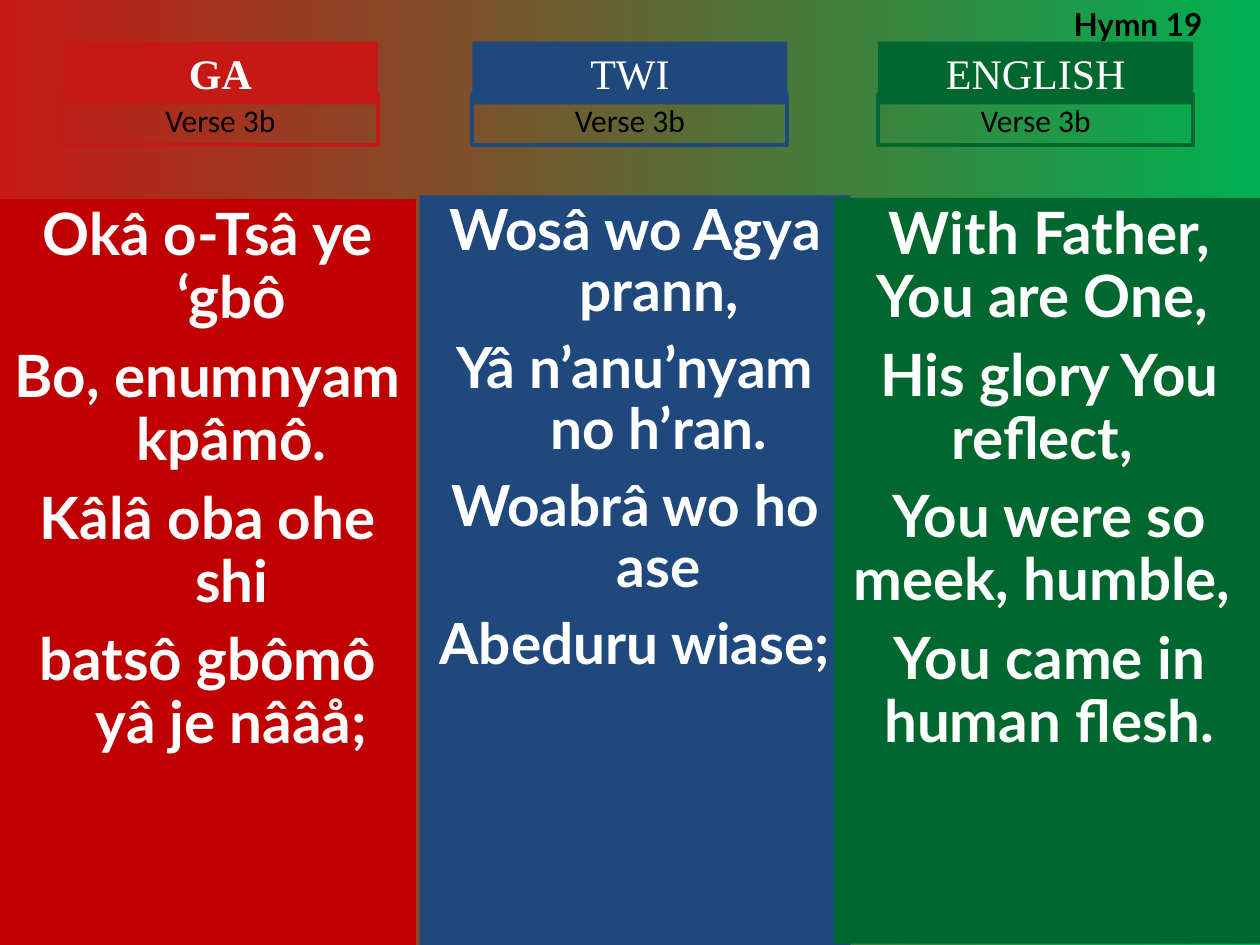
from pptx import Presentation
from pptx.dml.color import RGBColor
from pptx.enum.shapes import MSO_SHAPE
from pptx.enum.text import MSO_ANCHOR, MSO_AUTO_SIZE, PP_ALIGN
from pptx.oxml.xmlchemy import OxmlElement
from pptx.util import Inches, Pt

RED = RGBColor(0xC5, 0x19, 0x15)
DARK_RED = RGBColor(0xC0, 0x00, 0x00)
BLUE = RGBColor(0x1F, 0x49, 0x7D)
GREEN = RGBColor(0x00, 0x68, 0x2F)
BRIGHT_GREEN = RGBColor(0x00, 0xB0, 0x50)
WHITE = RGBColor(0xFF, 0xFF, 0xFF)
BLACK = RGBColor(0x00, 0x00, 0x00)


def place(box, left, top, width, height):
    box.left, box.top = Inches(left), Inches(top)
    box.width, box.height = Inches(width), Inches(height)


def write(box, lines, font, size, color, bold=False, align=PP_ALIGN.CENTER,
          spacing=1.0, before=0, hanging=0):
    frame = box.text_frame
    frame.word_wrap = True
    frame.auto_size = MSO_AUTO_SIZE.NONE
    frame.vertical_anchor = MSO_ANCHOR.TOP
    for index, line in enumerate(lines):
        para = frame.add_paragraph() if index else frame.paragraphs[0]
        properties = para._p.get_or_add_pPr()
        properties.set("marL", str(Inches(hanging)))
        properties.set("indent", str(-Inches(hanging)))
        properties.append(OxmlElement("a:buNone"))
        para.alignment = align
        para.line_spacing = spacing
        para.space_before = Pt(before if index else 0)
        span = para.add_run()
        span.text = line
        span.font.name = font
        span.font.size = Pt(size)
        span.font.bold = bold
        span.font.color.rgb = color


deck = Presentation()
deck.slide_width, deck.slide_height = Inches(10), Inches(7.5)
page = deck.slides.add_slide(deck.slide_layouts.get_by_name("Two Content"))

# Background gradient
backdrop = page.background.fill
backdrop.gradient()
backdrop.gradient_angle = 0
for stop, color in zip(backdrop.gradient_stops, (RED, BRIGHT_GREEN)):
    stop.color.rgb = color

# Hymn number
title = page.shapes.title
place(title, 8.42, -0.01, 1.5, 0.4)
write(title, ["Hymn 19"], "Lato", 18, BLACK, bold=True, align=PP_ALIGN.LEFT)

# Lyrics: box, position, fill, text size, space before, hanging indent, lines
ga_body, twi_body = page.placeholders[1], page.placeholders[2]
english_body = page.shapes.add_shape(MSO_SHAPE.RECTANGLE, 0, 0, 0, 0)
english_body.shadow.inherit = False
lyrics = [
    (ga_body, (0, 1.58, 3.3, 5.92), DARK_RED, 33.3, 9, 0.38,
     ["Okâ o-Tsâ ye ‘gbô", "Bo, enumnyam kpâmô.",
      "Kâlâ oba ohe shi", "batsô gbômô yâ je nââå;"]),
    (twi_body, (3.33, 1.55, 3.42, 5.95), BLUE, 32.4, 8.8, 0.38,
     ["Wosâ wo Agya prann,", "Yâ n’anu’nyam no h’ran.",
      "Woabrâ wo ho ase", "Abeduru wiase;"]),
    (english_body, (6.62, 1.57, 3.42, 5.92), GREEN, 33.3, 9, 0,
     ["With Father, You are One, ", "His glory You reflect, ",
      "You were so meek, humble, ", "You came in human flesh."]),
]
for body, position, color, size, before, hanging, lines in lyrics:
    place(body, *position)
    body.fill.solid()
    body.fill.fore_color.rgb = color
    body.line.fill.background()
    write(body, lines, "Lato", size, WHITE, bold=True, spacing=0.9,
          before=before, hanging=hanging)

# Language headers with verse labels below
headers = [("GA", 0.5, RED, True), ("TWI", 3.75, BLUE, False),
           ("ENGLISH", 6.97, GREEN, False)]
for language, left, color, bold in headers:
    header = page.shapes.add_shape(
        MSO_SHAPE.RECTANGLE, Inches(left), Inches(0.33), Inches(2.5), Inches(0.5))
    header.shadow.inherit = False
    header.fill.solid()
    header.fill.fore_color.rgb = color
    header.line.fill.background()
    write(header, [language], "Times New Roman", 24, WHITE, bold=bold)

    verse = page.shapes.add_shape(
        MSO_SHAPE.RECTANGLE, Inches(left), Inches(0.75), Inches(2.5), Inches(0.4))
    verse.shadow.inherit = False
    verse.fill.background()
    verse.line.color.rgb = color
    verse.line.width = Pt(2.25)
    write(verse, ["Verse 3b"], "Calibri", 18, BLACK)

deck.save("out.pptx")
